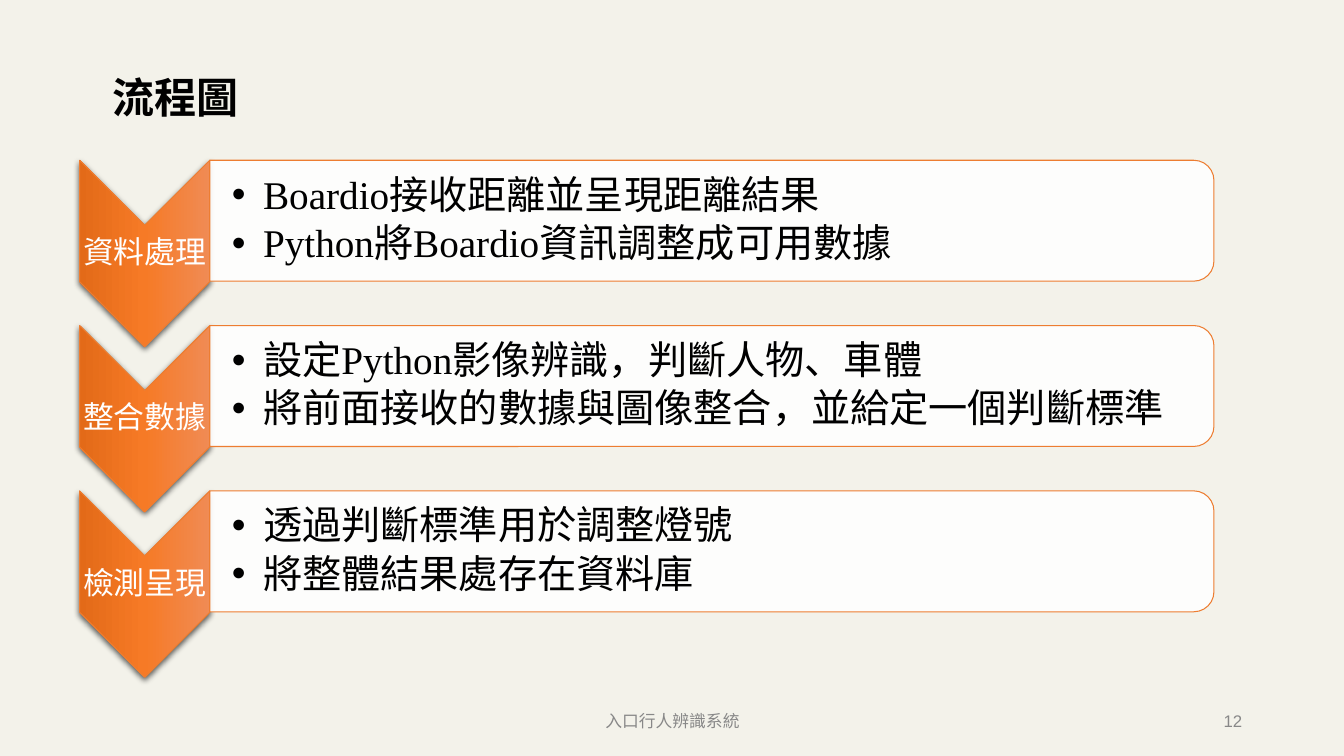
from dataclasses import dataclass

import pptx
import pptx.dml.color
import pptx.enum.shapes
import pptx.enum.text
import pptx.oxml
import pptx.oxml.ns
import pptx.util
from pptx.util import Inches

RGBColor = pptx.dml.color.RGBColor
Align = pptx.enum.text.PP_ALIGN
Anchor = pptx.enum.text.MSO_ANCHOR
Preset = pptx.enum.shapes.MSO_SHAPE

BACKGROUND = RGBColor(0xF3, 0xF2, 0xEA)
BLACK = RGBColor(0, 0, 0)
WHITE = RGBColor(0xFF, 0xFF, 0xFF)
GRAY = RGBColor(0x88, 0x88, 0x88)
ORANGE = RGBColor(0xED, 0x7D, 0x31)
CHEVRON_STOPS = (
    (0, RGBColor(0xF0, 0x8B, 0x54)),
    (50, RGBColor(0xF6, 0x7A, 0x26)),
    (100, RGBColor(0xE3, 0x6A, 0x18)),
)
NAMESPACE = pptx.oxml.ns.nsdecls("a")

FIRST_TOP = 1.59
STEP_PITCH = 1.64


@dataclass(frozen=True)
class Area:
    left: float
    top: float
    width: float
    height: float


@dataclass(frozen=True)
class TextStyle:
    font: str
    size: float
    color: RGBColor
    bold: bool = False
    align: Align = Align.LEFT
    anchor: Anchor = Anchor.MIDDLE
    line_spacing: float = 0.9
    margins: tuple[float, float, float, float] = (0.02, 0.02, 0.02, 0.02)
    bulleted: bool = False


@dataclass(frozen=True)
class Step:
    label: str
    points: tuple[str, ...]


WIDE_MARGINS = (0.1, 0.05, 0.1, 0.05)
TITLE = TextStyle("Roboto", 30, BLACK, bold=True, anchor=Anchor.TOP, margins=WIDE_MARGINS)
FOOTER = TextStyle("Arial", 12, GRAY, align=Align.CENTER, line_spacing=1.0, margins=WIDE_MARGINS)
PAGE_NUMBER = TextStyle("Arial", 12, GRAY, align=Align.RIGHT, line_spacing=1.0, margins=WIDE_MARGINS)
LABEL = TextStyle("Arial", 22, WHITE, align=Align.CENTER)
POINTS = TextStyle("Times New Roman", 28, BLACK, margins=(0.22, 0.02, 0.02, 0.02), bulleted=True)

STEPS = (
    Step("資料處理", ("Boardio接收距離並呈現距離結果", "Python將Boardio資訊調整成可用數據")),
    Step("整合數據", ("設定Python影像辨識，判斷人物、車體",
                  "將前面接收的數據與圖像整合，並給定一個判斷標準")),
    Step("檢測呈現", ("透過判斷標準用於調整燈號", "將整體結果處存在資料庫")),
)


def add_bullet(para) -> None:
    properties = para._p.get_or_add_pPr()
    properties.set("marL", str(Inches(0.31)))
    properties.set("indent", str(Inches(-0.31)))
    for markup in (
        f'<a:buClr {NAMESPACE}><a:srgbClr val="{BLACK}"/></a:buClr>',
        f'<a:buFont {NAMESPACE} typeface="Arial"/>',
        f'<a:buChar {NAMESPACE} char="•"/>',
    ):
        properties.append(pptx.oxml.parse_xml(markup))


def add_text(page, area: Area, lines: tuple[str, ...], style: TextStyle) -> None:
    box = page.shapes.add_textbox(
        Inches(area.left), Inches(area.top), Inches(area.width), Inches(area.height))
    frame = box.text_frame
    frame.word_wrap = True
    frame.vertical_anchor = style.anchor
    (frame.margin_left, frame.margin_top,
     frame.margin_right, frame.margin_bottom) = map(Inches, style.margins)
    for index, line in enumerate(lines):
        para = frame.add_paragraph() if index else frame.paragraphs[0]
        para.text = line
        para.alignment = style.align
        para.line_spacing = style.line_spacing
        if style.bulleted:
            para.level = 1
            para.space_before = pptx.util.Pt(4.2 if index else 0)
            add_bullet(para)
        para.font.name = style.font
        para.font.size = pptx.util.Pt(style.size)
        para.font.bold = style.bold
        para.font.color.rgb = style.color


def add_turned_shape(page, preset: Preset, area: Area, adjustments: tuple[float, ...]):
    """Add a shape turned a quarter clockwise that covers the given area."""
    shift = (area.width - area.height) / 2
    shape = page.shapes.add_shape(
        preset, Inches(area.left + shift), Inches(area.top - shift),
        Inches(area.height), Inches(area.width))
    shape.rotation = 90
    for index, value in enumerate(adjustments):
        shape.adjustments[index] = value
    shape.shadow.inherit = False
    shape.line.color.rgb = ORANGE
    shape.line.width = pptx.util.Pt(0.75)
    return shape


def add_chevron(page, area: Area) -> None:
    chevron = add_turned_shape(page, Preset.CHEVRON, area, (0.5,))
    properties = chevron._element.spPr
    stops = "".join(
        f'<a:gs pos="{position * 1000}"><a:srgbClr val="{color}"/></a:gs>'
        for position, color in CHEVRON_STOPS)
    gradient = pptx.oxml.parse_xml(
        f'<a:gradFill {NAMESPACE} rotWithShape="1"><a:gsLst>{stops}</a:gsLst>'
        '<a:lin ang="5400000" scaled="0"/></a:gradFill>')
    properties.find(pptx.oxml.ns.qn("a:prstGeom")).addnext(gradient)
    shadow = pptx.oxml.parse_xml(
        f'<a:outerShdw {NAMESPACE} blurRad="{pptx.util.Pt(4.5)}" dist="{pptx.util.Pt(1.5)}" '
        f'dir="5400000" algn="ctr" rotWithShape="0"><a:srgbClr val="{BLACK}">'
        '<a:alpha val="63000"/></a:srgbClr></a:outerShdw>')
    properties.find(pptx.oxml.ns.qn("a:effectLst")).append(shadow)


def add_panel(page, area: Area) -> None:
    panel = add_turned_shape(page, Preset.ROUND_2_SAME_RECTANGLE, area, (0.167, 0))
    panel.fill.solid()
    panel.fill.fore_color.rgb = WHITE
    color = panel._element.spPr.find(pptx.oxml.ns.qn("a:solidFill"))[0]
    color.append(pptx.oxml.parse_xml(f'<a:alpha {NAMESPACE} val="90000"/>'))


def add_step(page, step: Step, top: float) -> None:
    add_chevron(page, Area(0.79, top, 1.29, 1.85))
    add_text(page, Area(0.79, top + 0.65, 1.29, 0.55), (step.label,), LABEL)
    add_panel(page, Area(2.08, top, 9.96, 1.2))
    add_text(page, Area(2.08, top + 0.06, 9.9, 1.08), step.points, POINTS)


def main() -> None:
    deck = pptx.Presentation()
    deck.slide_width = Inches(13.33)
    deck.slide_height = Inches(7.5)
    page = deck.slides.add_slide(deck.slide_layouts[6])
    page.background.fill.solid()
    page.background.fill.fore_color.rgb = BACKGROUND

    # Footer and title
    add_text(page, Area(4.42, 6.95, 4.5, 0.4), ("入口行人辨識系統",), FOOTER)
    add_text(page, Area(9.42, 6.95, 3, 0.4), ("12",), PAGE_NUMBER)
    add_text(page, Area(1.02, 0.72, 11.5, 0.77), ("流程圖",), TITLE)

    # Process steps
    for index, step in enumerate(STEPS):
        add_step(page, step, FIRST_TOP + index * STEP_PITCH)

    deck.save("out.pptx")


if __name__ == "__main__":
    main()
